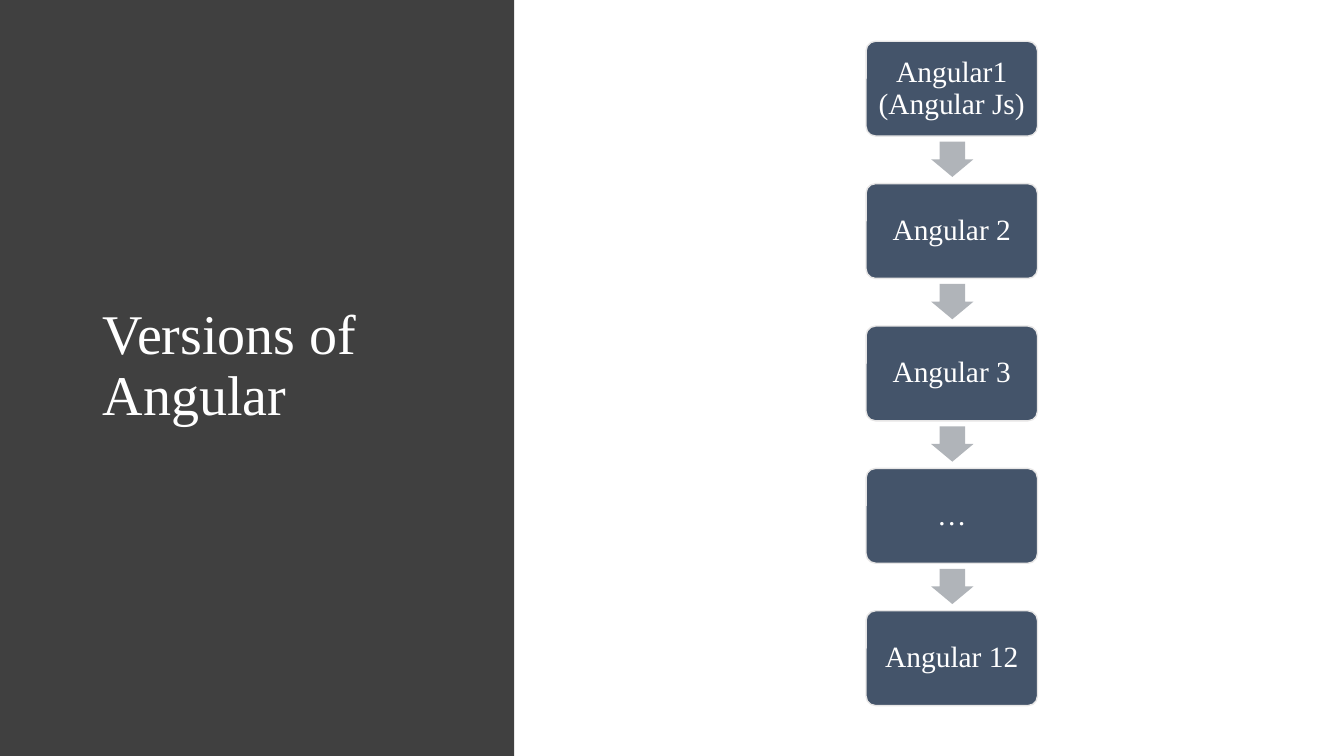
"""Build the slide that shows the versions of Angular as a vertical flow."""
import pptx
import pptx.dml.color
import pptx.enum.shapes
import pptx.enum.text
import pptx.util

Inches = pptx.util.Inches
RGBColor = pptx.dml.color.RGBColor
SHAPES = pptx.enum.shapes.MSO_SHAPE
ALIGN = pptx.enum.text.PP_ALIGN

PANEL_GREY = RGBColor(0x40, 0x40, 0x40)
BOX_BLUE = RGBColor(0x44, 0x54, 0x6A)
BOX_EDGE = RGBColor(0xE7, 0xE6, 0xE6)
ARROW_GREY = RGBColor(0xB0, 0xB4, 0xB9)
WHITE = RGBColor(0xFF, 0xFF, 0xFF)

FONT = "Times New Roman"
VERSIONS = ["Angular1 (Angular Js)", "Angular 2", "Angular\u00a03".replace("\u00a0", " "), "…", "Angular 12"]
FIRST_TOP = 0.41
STEP = 1.4125
ARROW_OFFSET = 0.96


def write_text(shape, text, size, alignment):
    frame = shape.text_frame
    frame.word_wrap = True
    frame.auto_size = pptx.enum.text.MSO_AUTO_SIZE.NONE
    frame.vertical_anchor = pptx.enum.text.MSO_ANCHOR.MIDDLE
    paragraph = frame.paragraphs[0]
    paragraph.alignment = alignment
    paragraph.line_spacing = 0.9
    run = paragraph.add_run()
    run.text = text
    run.font.name = FONT
    run.font.size = pptx.util.Pt(size)
    run.font.color.rgb = WHITE


def add_filled_shape(shapes, kind, left, top, width, height, color):
    shape = shapes.add_shape(kind, Inches(left), Inches(top), Inches(width), Inches(height))
    shape.shadow.inherit = False
    shape.fill.solid()
    shape.fill.fore_color.rgb = color
    shape.line.fill.background()
    return shape


def add_version_box(shapes, top, text):
    box = add_filled_shape(shapes, SHAPES.ROUNDED_RECTANGLE, 8.59, top, 1.7, 0.94, BOX_BLUE)
    box.adjustments[0] = 0.1
    box.line.color.rgb = BOX_EDGE
    box.line.width = pptx.util.Pt(1)
    frame = box.text_frame
    frame.margin_left = frame.margin_right = Inches(0.08)
    frame.margin_top = frame.margin_bottom = Inches(0.09)
    write_text(box, text, 21, ALIGN.CENTER)


def add_step_arrow(shapes, top):
    arrow = add_filled_shape(shapes, SHAPES.RIGHT_ARROW, 9.27, top, 0.35, 0.42, ARROW_GREY)
    arrow.rotation = 90
    arrow.adjustments[0] = 0.6
    arrow.adjustments[1] = 0.5


def add_title(slide, text):
    title = slide.shapes.title
    title.left, title.top = Inches(0.92), Inches(0.68)
    title.width, title.height = Inches(3.67), Inches(5.92)
    write_text(title, text, 40, ALIGN.LEFT)
    slide.shapes.element.append(title.element)


def add_version_flow(slide):
    flow = slide.shapes.add_group_shape()
    for index, version in enumerate(VERSIONS):
        top = FIRST_TOP + index * STEP
        add_version_box(flow.shapes, top, version)
        if index < len(VERSIONS) - 1:
            add_step_arrow(flow.shapes, top + ARROW_OFFSET)


def main():
    presentation = pptx.Presentation()
    presentation.slide_width = Inches(13.33)
    presentation.slide_height = Inches(7.5)
    slide = presentation.slides.add_slide(presentation.slide_layouts[5])
    add_filled_shape(slide.shapes, SHAPES.RECTANGLE, 0, 0, 5.1, 7.5, PANEL_GREY)
    add_title(slide, "Versions of Angular")
    add_version_flow(slide)
    presentation.save("out.pptx")


if __name__ == "__main__":
    main()
